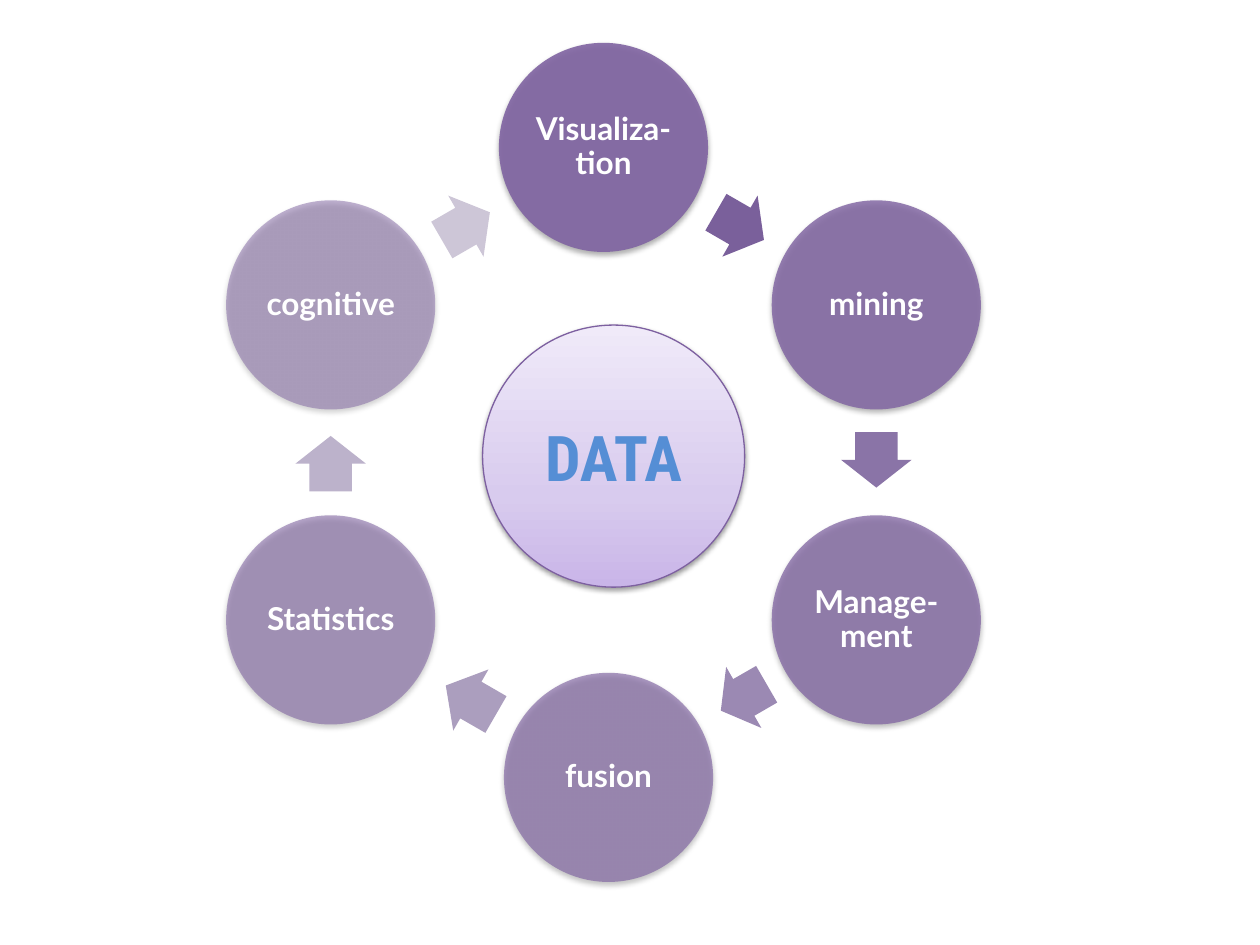
from copy import deepcopy
from math import cos, radians, sin
from typing import NamedTuple

from lxml.etree import SubElement
from pptx import Presentation
from pptx.dml.color import RGBColor
from pptx.enum.shapes import MSO_SHAPE
from pptx.enum.text import MSO_ANCHOR, PP_ALIGN
from pptx.oxml.ns import qn
from pptx.util import Inches, Pt

PURPLE = RGBColor(0x80, 0x64, 0xA2)
OUTLINE = RGBColor(0x7D, 0x60, 0xA0)
WHITE = RGBColor(0xFF, 0xFF, 0xFF)
BLUE = RGBColor(0x55, 0x8E, 0xD5)
HUB_STOPS = (
    (0, RGBColor(0xC9, 0xB5, 0xE8)),
    (0.35, RGBColor(0xD8, 0xCB, 0xEE)),
    (1, RGBColor(0xF0, 0xEA, 0xF9)),
)
RING_X, RING_Y, RING_RADIUS = 4.79, 3.67, 2.5
STEP = 60
ARROW_RADIUS = RING_RADIUS * cos(radians(STEP / 2))
CIRCLE_SIZE, LABEL_SIZE, HUB_SIZE = 1.66, 1.18, 2.08
ARROW_HEIGHT = 0.56


class Stage(NamedTuple):
    """A circle of the cycle and the arrow that leaves it."""
    label: str
    opacity: int
    arrow_color: RGBColor
    arrow_length: float = 0.44
    arrow_shift: tuple[float, float] = (0, 0)
    circle_shift: float = 0


STAGES = (
    Stage("Visualiza-tion", 90, RGBColor(0x7A, 0x60, 0x9B)),
    Stage("mining", 82, RGBColor(0x8A, 0x74, 0xA7), arrow_shift=(0, -0.02)),
    Stage("Manage-ment", 74, RGBColor(0x9B, 0x89, 0xB3), 0.42, (0.03, -0.01)),
    Stage("fusion", 66, RGBColor(0xAB, 0x9E, 0xBE), 0.46, (0.03, 0.01), 0.04),
    Stage("Statistics", 58, RGBColor(0xBC, 0xB2, 0xCB), arrow_shift=(0, 0.01)),
    Stage("cognitive", 50, RGBColor(0xCD, 0xC6, 0xD7), arrow_shift=(-0.01, 0)),
)


def centered_box(x: float, y: float, width: float, height: float) -> list[int]:
    """Return left, top, width and height around a centre in inches."""
    return [Inches(v) for v in (x - width / 2, y - height / 2, width, height)]


def on_ring(radius: float, angle: float) -> tuple[float, float]:
    """Return the point at a clockwise angle from the top of the ring."""
    turn = radians(angle)
    return RING_X + radius * sin(turn), RING_Y - radius * cos(turn)


def add_alpha(color_element, percent: int) -> None:
    """Set the opacity of a colour element."""
    SubElement(color_element, qn("a:alpha"), val=str(percent * 1000))


def add_shadow(shape, opacity: int, distance: float) -> None:
    """Give a shape a soft black shadow that falls straight down."""
    shape.shadow.inherit = False
    effects = shape._element.spPr.find(qn("a:effectLst"))
    shadow = SubElement(
        effects, qn("a:outerShdw"), blurRad=str(Pt(3.1)),
        dist=str(Pt(distance)), dir="5400000", rotWithShape="0",
    )
    add_alpha(SubElement(shadow, qn("a:srgbClr"), val="000000"), opacity)


def write_text(shape, text: str, *, size: float, font: str, color: RGBColor,
               inset: float = 0.1, line_spacing: float = 1,
               space_after: float = 0) -> None:
    """Write bold centred text into a shape."""
    frame = shape.text_frame
    frame.word_wrap = True
    frame.vertical_anchor = MSO_ANCHOR.MIDDLE
    frame.margin_left = frame.margin_right = Inches(inset)
    frame.margin_top = frame.margin_bottom = Inches(min(inset, 0.05))
    paragraph = frame.paragraphs[0]
    paragraph.alignment = PP_ALIGN.CENTER
    paragraph.line_spacing = line_spacing
    paragraph.space_after = Pt(space_after)
    run = paragraph.add_run()
    run.text = text
    run.font.name = font
    run.font.size = Pt(size)
    run.font.bold = True
    run.font.color.rgb = color


def add_solid(slide, kind: MSO_SHAPE, box: list[int], color: RGBColor):
    """Add a shape with a plain fill and neither outline nor shadow."""
    shape = slide.shapes.add_shape(kind, *box)
    shape.fill.solid()
    shape.fill.fore_color.rgb = color
    shape.line.fill.background()
    shape.shadow.inherit = False
    return shape


def add_stage(slide, stage: Stage, angle: float) -> None:
    """Draw a circle, its label and the arrow to the next circle."""
    x, y = on_ring(RING_RADIUS, angle)
    x += stage.circle_shift
    circle = add_solid(slide, MSO_SHAPE.OVAL,
                       centered_box(x, y, CIRCLE_SIZE, CIRCLE_SIZE), PURPLE)
    fill = circle._element.spPr.find(qn("a:solidFill"))
    add_alpha(fill[0], stage.opacity)
    add_shadow(circle, 35, 1.8)

    label = slide.shapes.add_textbox(*centered_box(x, y, LABEL_SIZE, LABEL_SIZE))
    write_text(label, stage.label, size=18, font="Lato", color=WHITE,
               inset=0.03, line_spacing=0.9, space_after=6.3)

    x, y = on_ring(ARROW_RADIUS, angle + STEP / 2)
    shift_x, shift_y = stage.arrow_shift
    box = centered_box(x + shift_x, y + shift_y, stage.arrow_length, ARROW_HEIGHT)
    arrow = add_solid(slide, MSO_SHAPE.RIGHT_ARROW, box, stage.arrow_color)
    arrow.adjustments[0] = 0.6
    arrow.adjustments[1] = 0.5
    arrow.rotation = (angle + STEP / 2) % 360


def add_hub(slide, text: str) -> None:
    """Draw the gradient circle in the middle."""
    hub = slide.shapes.add_shape(
        MSO_SHAPE.OVAL, *centered_box(4.87, 3.62, HUB_SIZE, HUB_SIZE))
    hub.fill.gradient()
    stop_list = hub._element.spPr.find(qn("a:gradFill")).find(qn("a:gsLst"))
    stop_list.append(deepcopy(stop_list[-1]))
    for stop, (position, color) in zip(hub.fill.gradient_stops, HUB_STOPS):
        stop.position = position
        stop.color.rgb = color
    hub.fill.gradient_angle = 90
    hub.line.color.rgb = OUTLINE
    hub.line.width = Pt(0.75)
    add_shadow(hub, 38, 1.6)
    write_text(hub, text, size=36, font="Roboto Condensed", color=BLUE)


def main() -> None:
    """Build and save the slide."""
    presentation = Presentation()
    presentation.slide_width = Inches(10)
    presentation.slide_height = Inches(7.5)
    slide = presentation.slides.add_slide(presentation.slide_layouts[6])
    for index, stage in enumerate(STAGES):
        add_stage(slide, stage, index * STEP)
    add_hub(slide, "DATA")
    presentation.save("out.pptx")


if __name__ == "__main__":
    main()
